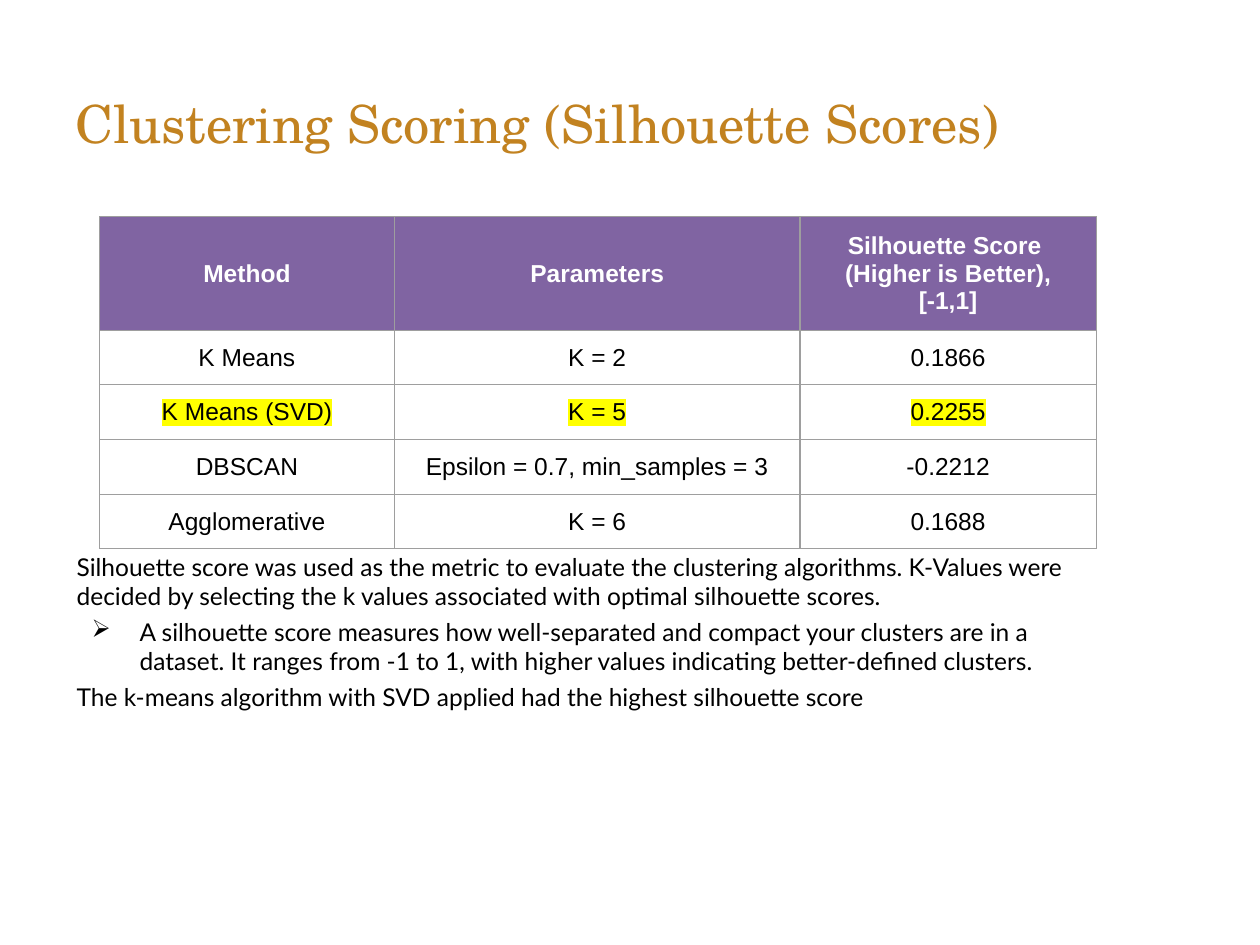
import pptx
import pptx.util
import pptx.dml.color
import pptx.enum.text
import pptx.oxml
import pptx.oxml.ns
from lxml import etree

Inches = pptx.util.Inches
Pt = pptx.util.Pt
RGBColor = pptx.dml.color.RGBColor
Align = pptx.enum.text.PP_ALIGN
Anchor = pptx.enum.text.MSO_ANCHOR
qn = pptx.oxml.ns.qn

GOLD = RGBColor(0xC2, 0x82, 0x20)
PURPLE = RGBColor(0x80, 0x64, 0xA2)
WHITE = RGBColor(0xFF, 0xFF, 0xFF)
BLACK = RGBColor(0x00, 0x00, 0x00)
GRAY = RGBColor(0x9E, 0x9E, 0x9E)
YELLOW = RGBColor(0xFF, 0xFF, 0x00)

TITLE = "Clustering Scoring (Silhouette Scores)"
SCORES = [
    ("Method", "Parameters", "Silhouette Score \n(Higher is Better), [-1,1]"),
    ("K Means", "K = 2", "0.1866"),
    ("K Means (SVD)", "K = 5", "0.2255"),
    ("DBSCAN", "Epsilon = 0.7, min_samples = 3", "-0.2212"),
    ("Agglomerative", "K = 6", "0.1688"),
]
BEST_ROW = 2
COLUMN_WIDTHS = [2.34, 3.22, 2.35]
ROW_HEIGHTS = [0.85] + [0.42] * (len(SCORES) - 1)
NOTES = [
    ("Silhouette score was used as the metric to evaluate the clustering algorithms. "
     "K-Values were decided by selecting the k values associated with optimal silhouette scores.", False),
    ("A silhouette score measures how well-separated and compact your clusters are in a dataset. "
     "It ranges from -1 to 1, with higher values indicating better-defined clusters.", True),
    ("The k-means algorithm with SVD applied had the highest silhouette score", False),
]


def set_font(paragraph, name, size, color, bold=False):
    font = paragraph.font
    font.name, font.size, font.bold = name, Pt(size), bold
    font.color.rgb = color


def add_color(parent, color):
    etree.SubElement(parent, qn("a:srgbClr"), val=str(color))


def add_bullet(paragraph):
    properties = paragraph._p.get_or_add_pPr()
    properties.set("marL", str(Inches(0.5)))
    properties.set("indent", str(Inches(-0.38)))
    add_color(etree.SubElement(properties, qn("a:buClr")), BLACK)
    etree.SubElement(properties, qn("a:buChar"), char="➢")


def add_borders(cell):
    properties = cell._tc.get_or_add_tcPr()
    for position, side in enumerate(("lnL", "lnR", "lnT", "lnB")):
        line = etree.Element(qn(f"a:{side}"), w=str(Pt(0.75)))
        add_color(etree.SubElement(line, qn("a:solidFill")), GRAY)
        properties.insert(position, line)


def add_text_frame(slide, left, top, width, height):
    frame = slide.shapes.add_textbox(*map(Inches, (left, top, width, height))).text_frame
    frame.word_wrap = True
    return frame


def add_title(slide):
    frame = add_text_frame(slide, 0.5, 0.34, 8.49, 1.26)
    frame.vertical_anchor = Anchor.MIDDLE
    frame.text = TITLE
    set_font(frame.paragraphs[0], "TeX Gyre Schola", 30, GOLD)


def add_notes(slide):
    frame = add_text_frame(slide, 0.51, 4.33, 8.47, 1.5)
    frame.text = "\n".join(text for text, _ in NOTES)
    for index, (paragraph, (_, bulleted)) in enumerate(zip(frame.paragraphs, NOTES)):
        if index:
            paragraph.space_before = Pt(3.6)
        if bulleted:
            add_bullet(paragraph)
        set_font(paragraph, "Lato", 14, BLACK)


def fill_cell(cell, text, row):
    header = row == 0
    cell.text = text
    cell.vertical_anchor = Anchor.MIDDLE
    cell.margin_left = cell.margin_right = Inches(0.1)
    cell.margin_top = cell.margin_bottom = Inches(0.1)
    if header:
        cell.fill.solid()
        cell.fill.fore_color.rgb = PURPLE
    else:
        cell.fill.background()
    add_borders(cell)
    for paragraph in cell.text_frame.paragraphs:
        paragraph.alignment = Align.CENTER
        set_font(paragraph, "Arial", 14, WHITE if header else BLACK, header)
        if row == BEST_ROW:
            for run in paragraph.runs:
                properties = run._r.get_or_add_rPr()
                add_color(etree.SubElement(properties, qn("a:highlight")), YELLOW)


def add_scores(slide):
    table = slide.shapes.add_table(
        len(SCORES), len(COLUMN_WIDTHS), Inches(0.79), Inches(1.72),
        Inches(sum(COLUMN_WIDTHS)), Inches(sum(ROW_HEIGHTS))).table
    table.first_row = table.horz_banding = False
    for column, width in zip(table.columns, COLUMN_WIDTHS):
        column.width = Inches(width)
    for row, height in zip(table.rows, ROW_HEIGHTS):
        row.height = Inches(height)
    for row, texts in enumerate(SCORES):
        for column, text in enumerate(texts):
            fill_cell(table.cell(row, column), text, row)


def main():
    presentation = pptx.Presentation()
    presentation.slide_width = Inches(10)
    presentation.slide_height = Inches(7.5)
    slide = presentation.slides.add_slide(presentation.slide_layouts[6])
    add_title(slide)
    add_notes(slide)
    add_scores(slide)
    presentation.save("out.pptx")


if __name__ == "__main__":
    main()
